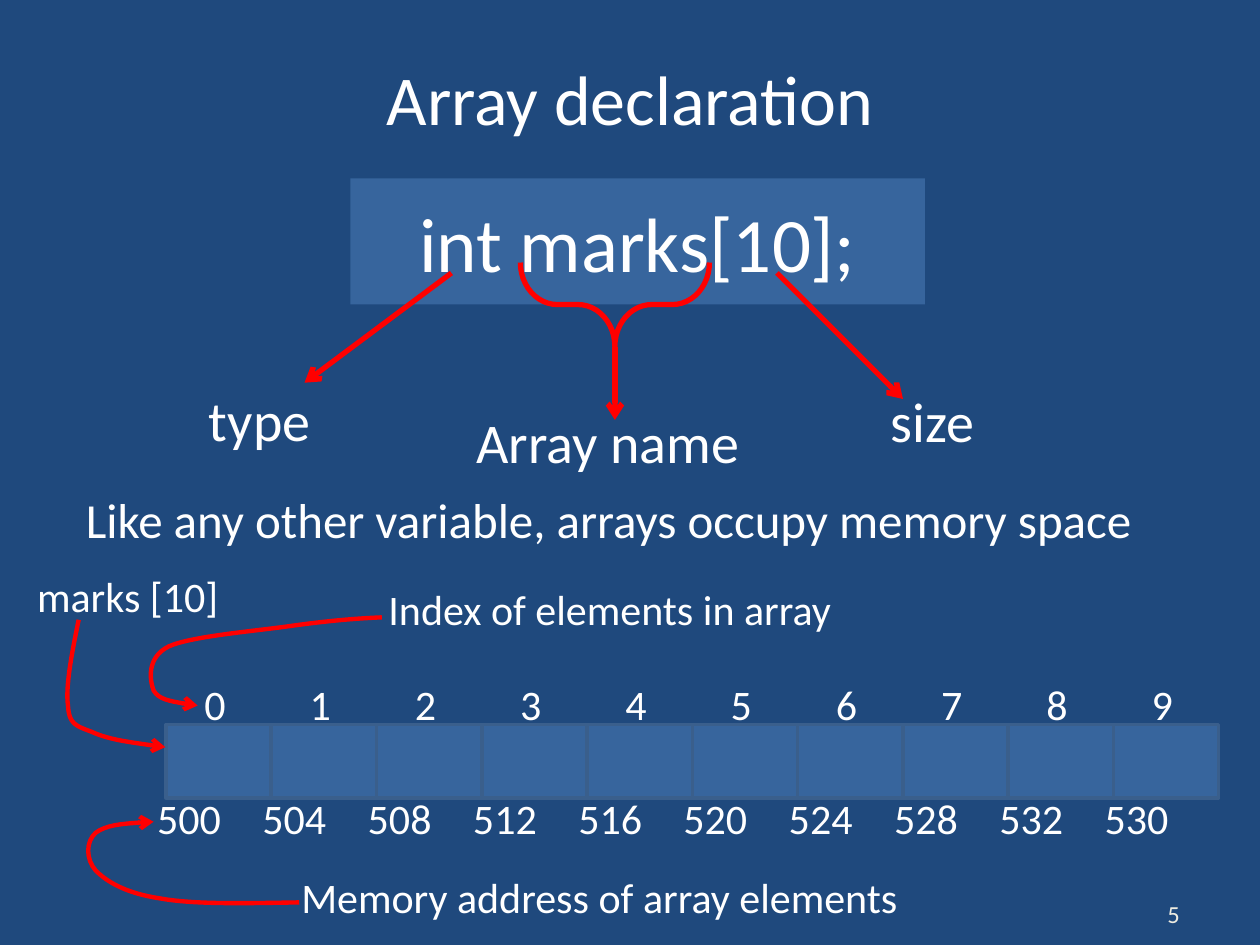
from dataclasses import dataclass

from lxml.etree import SubElement
from pptx import Presentation
from pptx.dml.color import RGBColor
from pptx.enum.shapes import MSO_CONNECTOR, MSO_SHAPE
from pptx.enum.text import MSO_ANCHOR, PP_ALIGN
from pptx.oxml.ns import qn
from pptx.util import Pt

WHITE = "FFFFFF"
RED = "FF0000"
BLUE = "4F81BD"
CELL_PITCH = 60.15
ROW_HEIGHT = 42

Point = tuple[float, float]


@dataclass(frozen=True)
class Label:
    text: str
    left: float
    top: float
    width: float
    height: float
    size: float
    wrap: bool = True


@dataclass(frozen=True)
class Arrow:
    start: Point
    end: Point


@dataclass(frozen=True)
class CurvedArrow:
    start: Point
    segments: tuple[tuple[Point, Point, Point], ...]


@dataclass(frozen=True)
class CellRow:
    texts: tuple[str, ...]
    left: float
    top: float


LABELS = (
    Label("Array name", 250.6, 228, 193.7, 48, 32),
    Label("type", 100.2, 215.7, 96.5, 48, 32),
    Label("size", 484.5, 216, 96.5, 48, 32),
    Label("Index of elements in array", 206, 331.2, 285, 33.1, 24, False),
    Label("Memory address of array elements ", 164.9, 496.1, 360.7, 33.1, 24, False),
    Label("marks [10]", 8.2, 324, 129.6, 33.1, 24, False),
)
ARROWS = (
    Arrow((351.4, 198), (351.4, 240)),
    Arrow((258, 156), (174, 218.7)),
    Arrow((444, 156), (516, 228)),
)
CURVED_ARROWS = (
    CurvedArrow((218.2, 352.8), (
        ((201.6, 353.5), (185.8, 355), (165.6, 357.8)),
        ((145.4, 360.7), (109.4, 363.6), (96.5, 369.4)),
        ((83.5, 375.8), (85.7, 388.8), (87.8, 394.6)),
        ((90.7, 399.6), (101.5, 401.8), (113, 403.2)),
    )),
    CurvedArrow((171, 515.7), (
        ((141.1, 516.2), (110.9, 517), (91.4, 513.4)),
        ((72, 510.5), (61.2, 504), (54.7, 497.5)),
        ((49, 491), (49, 481), (54.7, 475.9)),
        ((60.5, 471.6), (74.2, 470.2), (87.8, 469.6)),
    )),
    CurvedArrow((45, 354.2), (
        ((41, 373.7), (37.4, 392.4), (38.9, 403.2)),
        ((39.6, 414), (43.2, 414.7), (52.6, 418.3)),
        ((61.9, 422.6), (78.5, 424.8), (94.5, 427)),
    )),
)
INDEXES = CellRow(tuple(str(index) for index in range(10)), 92.8, 380.9)
ADDRESSES = CellRow(
    ("500", "504", "508", "512", "516", "520", "524", "528", "532", "530"), 78, 446.4
)


def color(hex_code: str) -> RGBColor:
    return RGBColor.from_string(hex_code)


def write(shape, text: str, *, size: float, ink: str = WHITE, align=PP_ALIGN.CENTER,
          anchor=MSO_ANCHOR.MIDDLE, wrap: bool = True, before: float = 0) -> None:
    frame = shape.text_frame
    frame.word_wrap = wrap
    frame.vertical_anchor = anchor
    paragraph = frame.paragraphs[0]
    paragraph.alignment = align
    paragraph.space_before = Pt(before)
    run = paragraph.add_run()
    run.text = text
    run.font.name = "Calibri"
    run.font.size = Pt(size)
    run.font.color.rgb = color(ink)


def place(shape, left: float, top: float, width: float, height: float) -> None:
    shape.left, shape.top = Pt(left), Pt(top)
    shape.width, shape.height = Pt(width), Pt(height)


def add_text(slide, label: Label, **formatting) -> None:
    box = slide.shapes.add_textbox(
        Pt(label.left), Pt(label.top), Pt(label.width), Pt(label.height))
    write(box, label.text, size=label.size, wrap=label.wrap, **formatting)


def add_panel(slide, left: float, top: float, width: float, height: float, opacity: int):
    panel = slide.shapes.add_shape(
        MSO_SHAPE.RECTANGLE, Pt(left), Pt(top), Pt(width), Pt(height))
    panel.shadow.inherit = False
    panel.fill.solid()
    panel.fill.fore_color.rgb = color(BLUE)
    tint = panel.fill._xPr.find(qn("a:solidFill"))[0]
    SubElement(tint, qn("a:alpha")).set("val", str(opacity * 1000))
    panel.line.fill.background()
    return panel


def style_line(line, ink: str, width: float, arrowhead: bool = False) -> None:
    line.color.rgb = color(ink)
    line.width = Pt(width)
    if arrowhead:
        SubElement(line._get_or_add_ln(), qn("a:tailEnd")).set("type", "arrow")


def add_arrow(slide, arrow: Arrow) -> None:
    connector = slide.shapes.add_connector(
        MSO_CONNECTOR.STRAIGHT, *(Pt(value) for value in arrow.start + arrow.end))
    style_line(connector.line, RED, 3, arrowhead=True)
    SubElement(connector._element.spPr, qn("a:effectLst"))


def bend_segments(outline) -> None:
    lines = list(outline._element.iter(qn("a:lnTo")))
    route = lines[0].getparent()
    for first in range(0, len(lines), 3):
        curve = SubElement(route, qn("a:cubicBezTo"))
        for line in lines[first:first + 3]:
            curve.append(line[0])
            route.remove(line)


def add_curved_arrow(slide, curve: CurvedArrow) -> None:
    builder = slide.shapes.build_freeform(Pt(curve.start[0]), Pt(curve.start[1]))
    controls = [(Pt(x), Pt(y)) for segment in curve.segments for x, y in segment]
    builder.add_line_segments(controls, close=False)
    outline = builder.convert_to_shape()
    bend_segments(outline)
    outline.shadow.inherit = False
    outline.fill.background()
    style_line(outline.line, RED, 2.5, arrowhead=True)


def add_brace(slide) -> None:
    brace = slide.shapes.add_shape(
        MSO_SHAPE.LEFT_BRACE, Pt(327.4), Pt(120), Pt(48), Pt(108))
    brace.rotation = 270
    brace.adjustments[0] = 0.44
    brace.adjustments[1] = 0.5
    brace.shadow.inherit = False
    brace.fill.background()
    style_line(brace.line, RED, 3)


def add_cell_row(slide, row: CellRow) -> None:
    for position, text in enumerate(row.texts):
        left = row.left + position * CELL_PITCH
        add_text(slide, Label(text, left, row.top, CELL_PITCH, ROW_HEIGHT, 24))


def main() -> None:
    deck = Presentation()
    deck.slide_width, deck.slide_height = Pt(720), Pt(540)
    slide = deck.slides.add_slide(deck.slide_layouts[5])
    slide.background.fill.solid()
    slide.background.fill.fore_color.rgb = color("1F497D")

    place(slide.shapes.title, 36, 27.4, 648, 56.2)
    write(slide.shapes.title, "Array declaration", size=40)
    add_text(slide, Label("5", 660, 510, 48, 24, 14), ink="EEECE1", align=PP_ALIGN.LEFT)
    add_text(slide, Label("Like any other variable, arrays occupy memory space",
                          42, 276, 648, 48, 28),
             align=PP_ALIGN.LEFT, anchor=MSO_ANCHOR.TOP, before=5.6)

    declaration = add_panel(slide, 200.2, 102, 328.3, 72, 51)
    write(declaration, "int marks[10];", size=44)
    add_brace(slide)
    for arrow in ARROWS:
        add_arrow(slide, arrow)

    for position in range(len(INDEXES.texts)):
        cell = add_panel(slide, 94.9 + position * CELL_PITCH, 414, CELL_PITCH, ROW_HEIGHT, 50)
        style_line(cell.line, "3A5F8C", 2)
    add_cell_row(slide, INDEXES)
    add_cell_row(slide, ADDRESSES)
    for label in LABELS:
        add_text(slide, label)
    for curve in CURVED_ARROWS:
        add_curved_arrow(slide, curve)
    deck.save("out.pptx")


if __name__ == "__main__":
    main()
